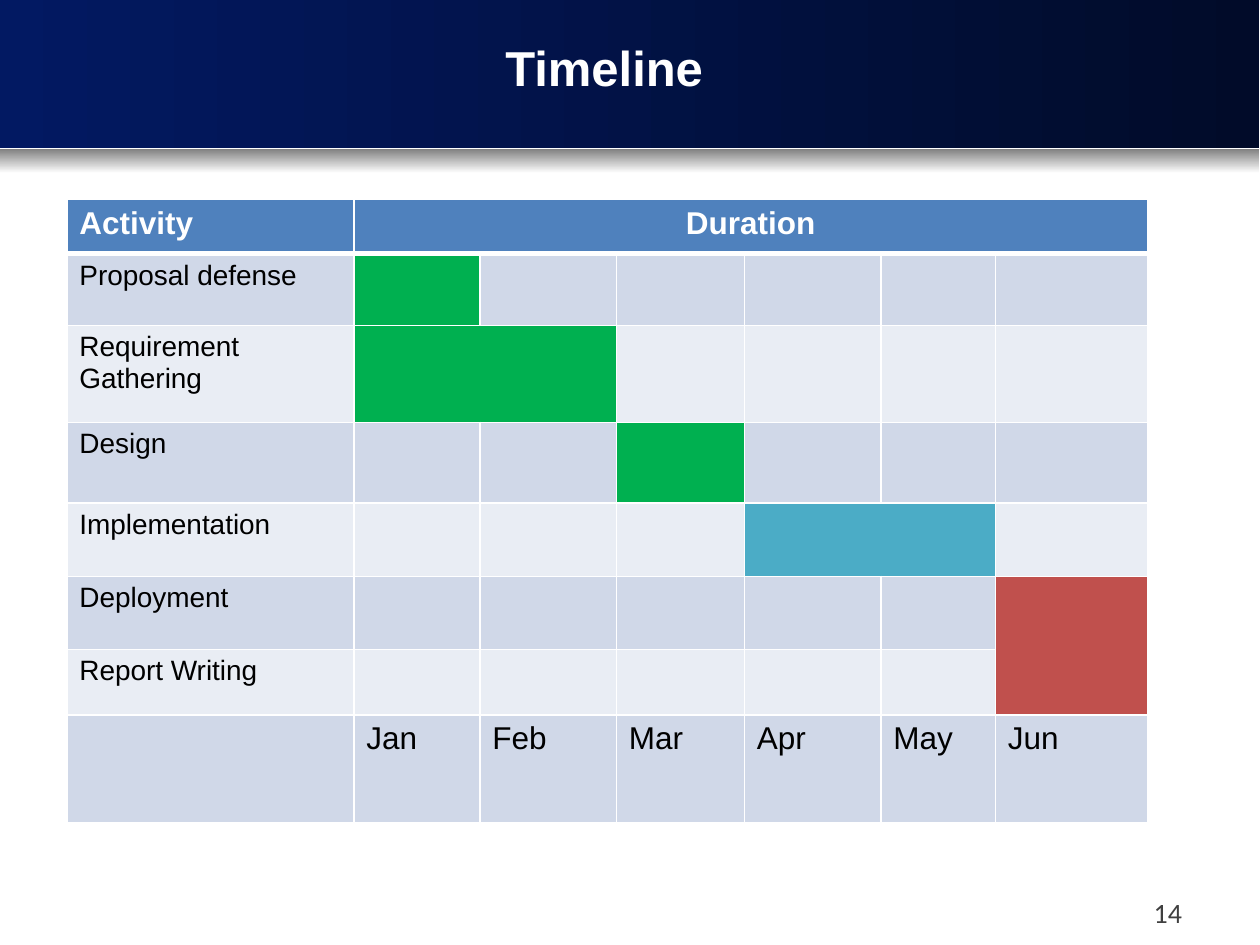
from dataclasses import dataclass
from typing import Any

from lxml.etree import SubElement
from pptx import Presentation
from pptx.dml.color import RGBColor
from pptx.enum.shapes import MSO_SHAPE
from pptx.enum.text import MSO_ANCHOR, PP_ALIGN
from pptx.oxml.ns import qn
from pptx.util import Pt


@dataclass(frozen=True)
class Theme:
    """Colours, fonts and type sizes of the slide."""
    white: str = "FFFFFF"
    black: str = "000000"
    number: str = "404040"
    navy: str = "021962"
    midnight: str = "010B29"
    shade: str = "7F7F7F"
    header: str = "4F81BD"
    bands: tuple[str, str] = ("D0D8E8", "E9EDF4")
    done: str = "00B050"
    ongoing: str = "4BACC6"
    planned: str = "C0504D"
    font: str = "Arial"
    number_font: str = "Calibri"
    title_size: int = 28
    heading_size: int = 18
    activity_size: int = 16


@dataclass(frozen=True)
class Box:
    """A rectangle in points."""
    left: float
    top: float
    width: float
    height: float

    def lengths(self) -> list[Pt]:
        """Give the four lengths in the order python-pptx takes them."""
        return [Pt(v) for v in (self.left, self.top, self.width, self.height)]


@dataclass(frozen=True)
class Gradient:
    """A two-colour bar across the top of the slide."""
    box: Box
    start: str
    end: str
    angle: int


@dataclass(frozen=True)
class Period:
    """A coloured stretch of the timeline, in table rows and columns."""
    row: int
    first: int
    last: int
    color: str
    rows: int = 1


THEME = Theme()
ACTIVITIES = ["Proposal defense", "Requirement Gathering", "Design",
              "Implementation", "Deployment", "Report Writing"]
MONTHS = ["Jan", "Feb", "Mar", "Apr", "May", "Jun"]
COLUMN_WIDTHS = [164, 72, 78, 73.2, 78, 65.4, 87]
ROW_HEIGHTS = [31, 41, 55.4, 46.2, 41.8, 41.8, 37.5, 61.3]
BARS = [
    Gradient(Box(0, 0, 719.5, 84.5), THEME.navy, THEME.midnight, 0),
    Gradient(Box(0, 85, 719.5, 14), THEME.shade, THEME.white, 270),
]
PERIODS = [
    Period(1, 1, 1, THEME.done),
    Period(2, 1, 2, THEME.done),
    Period(3, 3, 3, THEME.done),
    Period(4, 4, 5, THEME.ongoing),
    Period(5, 6, 6, THEME.planned, rows=2),
]


def write(frame: Any, text: str, size: int, color: str, bold: bool = False,
          align: PP_ALIGN = PP_ALIGN.LEFT, font: str = THEME.font) -> None:
    """Put one formatted run into a text frame."""
    paragraph = frame.paragraphs[0]
    paragraph.alignment = align
    run = paragraph.add_run()
    run.text = text
    for name, value in {"name": font, "size": Pt(size), "bold": bold}.items():
        setattr(run.font, name, value)
    run.font.color.rgb = RGBColor.from_string(color)


def add_bar(slide: Any, bar: Gradient) -> None:
    """Draw a gradient bar without outline."""
    shape = slide.shapes.add_shape(MSO_SHAPE.RECTANGLE, *bar.box.lengths())
    shape.shadow.inherit = False
    shape.line.fill.background()
    shape.fill.gradient()
    shape.fill.gradient_angle = bar.angle
    for stop, color in zip(shape.fill.gradient_stops, (bar.start, bar.end)):
        stop.color.rgb = RGBColor.from_string(color)


def add_label(slide: Any, box: Box, text: str, anchor: MSO_ANCHOR,
              **style: Any) -> None:
    """Add a wrapping text box with one line of text."""
    frame = slide.shapes.add_textbox(*box.lengths()).text_frame
    for name, value in {"word_wrap": True, "vertical_anchor": anchor}.items():
        setattr(frame, name, value)
    write(frame, text, **style)


def paint(cell: Any, color: str) -> None:
    """Fill a cell with one colour."""
    cell.fill.solid()
    cell.fill.fore_color.rgb = RGBColor.from_string(color)


def add_borders(cell: Any, top: float, bottom: float) -> None:
    """Give a cell white borders, 1 point wide at the sides."""
    properties = cell._tc.get_or_add_tcPr()
    widths = {"a:lnL": 1, "a:lnR": 1, "a:lnT": top, "a:lnB": bottom}
    for position, (tag, width) in enumerate(widths.items()):
        line = SubElement(properties, qn(tag), w=str(Pt(width)))
        fill = SubElement(line, qn("a:solidFill"))
        SubElement(fill, qn("a:srgbClr"), val=THEME.white)
        properties.insert(position, line)


def add_timeline(slide: Any) -> None:
    """Build the table of activities against months."""
    box = Box(38.2, 114, sum(COLUMN_WIDTHS), sum(ROW_HEIGHTS))
    table = slide.shapes.add_table(
        len(ROW_HEIGHTS), len(COLUMN_WIDTHS), *box.lengths()).table
    for name in ("first_row", "horz_banding"):
        setattr(table, name, False)
    for column, width in zip(table.columns, COLUMN_WIDTHS):
        column.width = Pt(width)
    for index, (row, height) in enumerate(zip(table.rows, ROW_HEIGHTS)):
        row.height = Pt(height)
        for cell in row.cells:
            paint(cell, THEME.bands[(index - 1) % 2] if index else THEME.header)
            add_borders(cell, top=3 if index == 1 else 1,
                        bottom=1 if index else 3)

    heading = {"size": THEME.heading_size, "color": THEME.white, "bold": True}
    write(table.cell(0, 0).text_frame, "Activity", **heading)
    table.cell(0, 1).merge(table.cell(0, len(MONTHS)))
    write(table.cell(0, 1).text_frame, "Duration", align=PP_ALIGN.CENTER,
          **heading)
    for index, activity in enumerate(ACTIVITIES, start=1):
        write(table.cell(index, 0).text_frame, activity,
              THEME.activity_size, THEME.black)
    for index, month in enumerate(MONTHS, start=1):
        write(table.cell(len(ACTIVITIES) + 1, index).text_frame, month,
              THEME.heading_size, THEME.black)

    for period in PERIODS:
        start = table.cell(period.row, period.first)
        end = table.cell(period.row + period.rows - 1, period.last)
        if start != end and (period.rows > 1 or period.last > period.first):
            start.merge(end)
        paint(start, period.color)


def build() -> None:
    """Build the slide and save it."""
    deck = Presentation()
    deck.slide_width, deck.slide_height = Pt(720), Pt(540)
    slide = deck.slides.add_slide(deck.slide_layouts[6])
    for bar in BARS:
        add_bar(slide, bar)
    add_label(slide, Box(581, 507.6, 101.5, 28), "14", MSO_ANCHOR.MIDDLE,
              size=16, color=THEME.number, align=PP_ALIGN.RIGHT,
              font=THEME.number_font)
    add_label(slide, Box(57.6, 18, 575.3, 46.8), "Timeline", MSO_ANCHOR.TOP,
              size=THEME.title_size, color=THEME.white, bold=True,
              align=PP_ALIGN.CENTER)
    add_timeline(slide)
    deck.save("out.pptx")


build()
